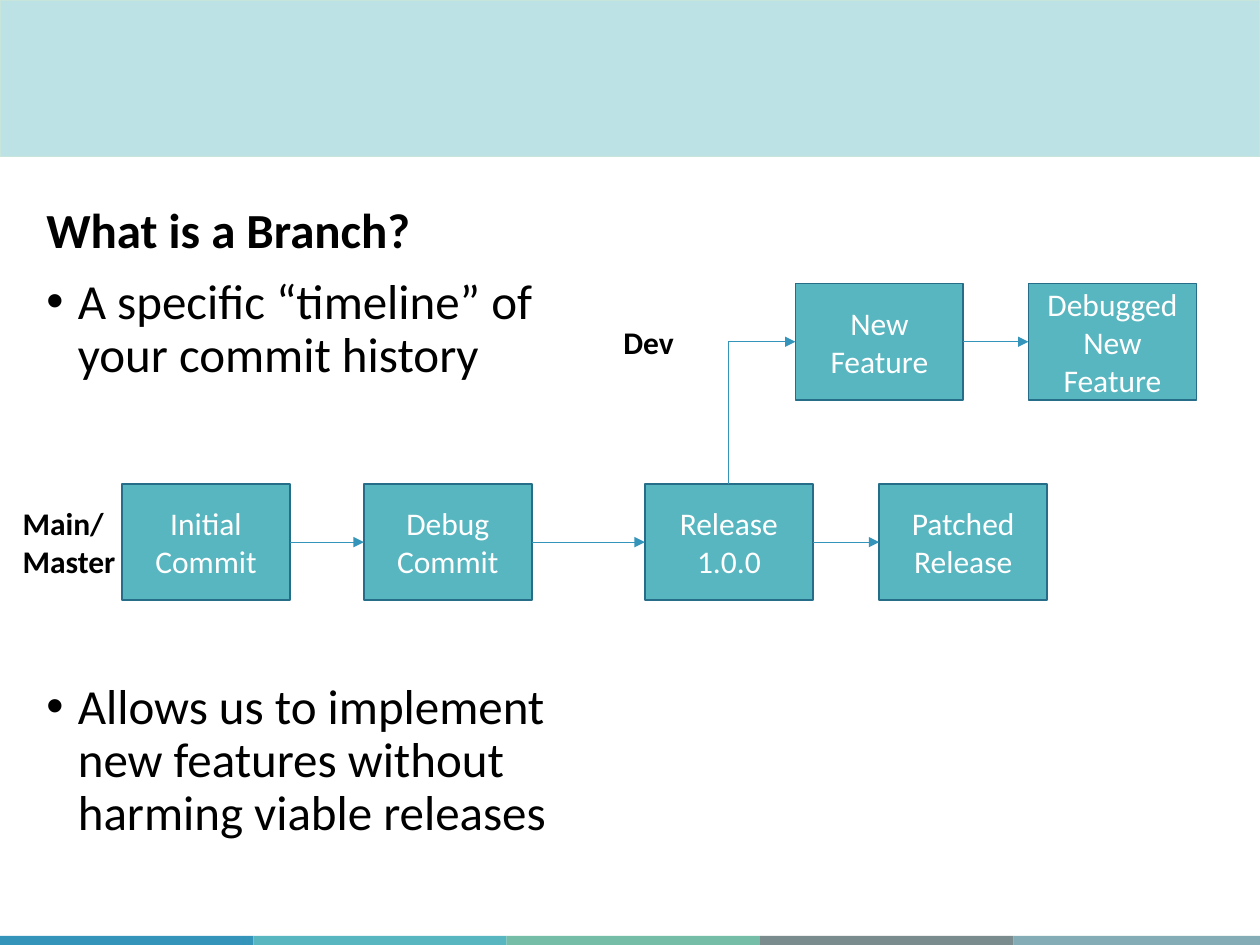
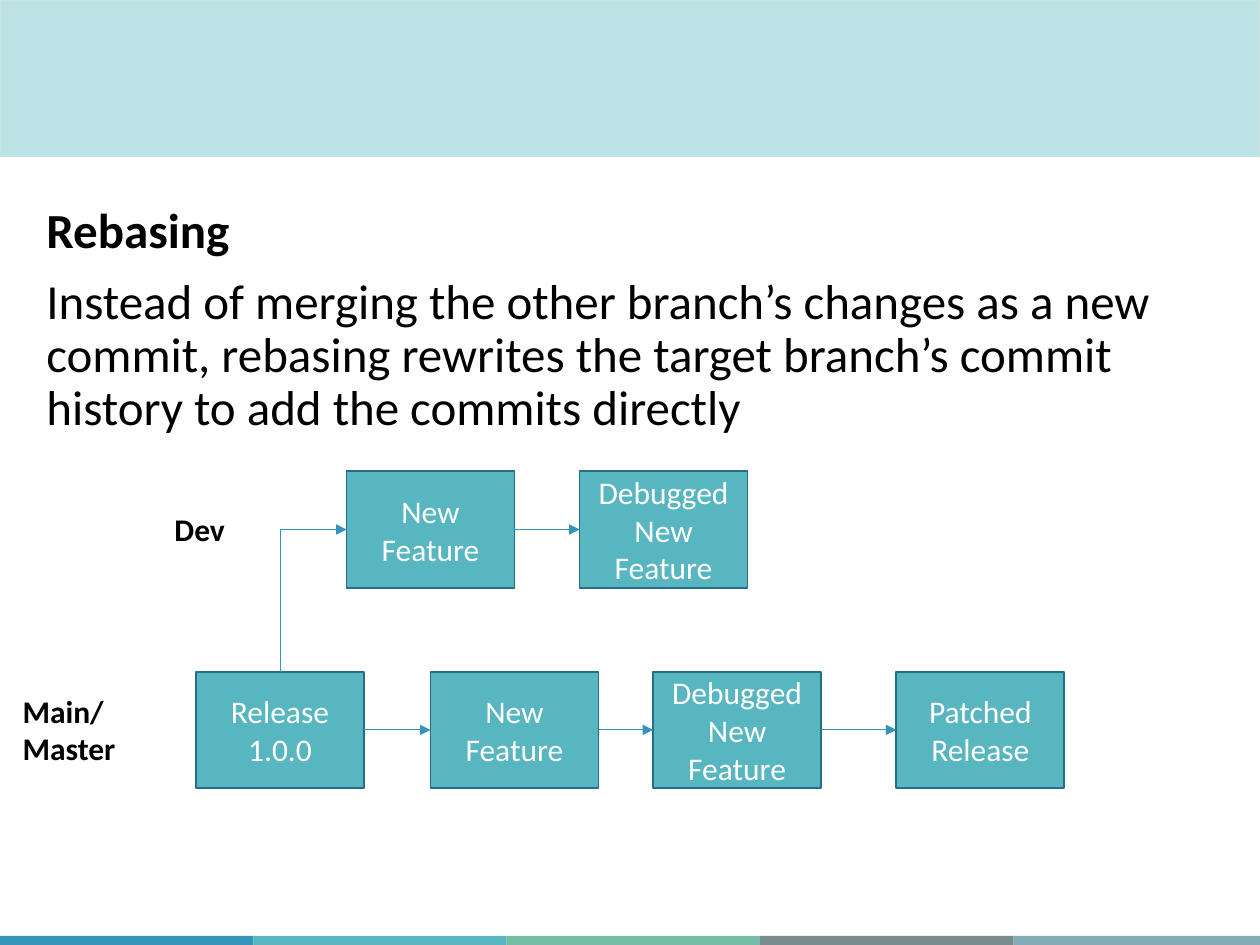
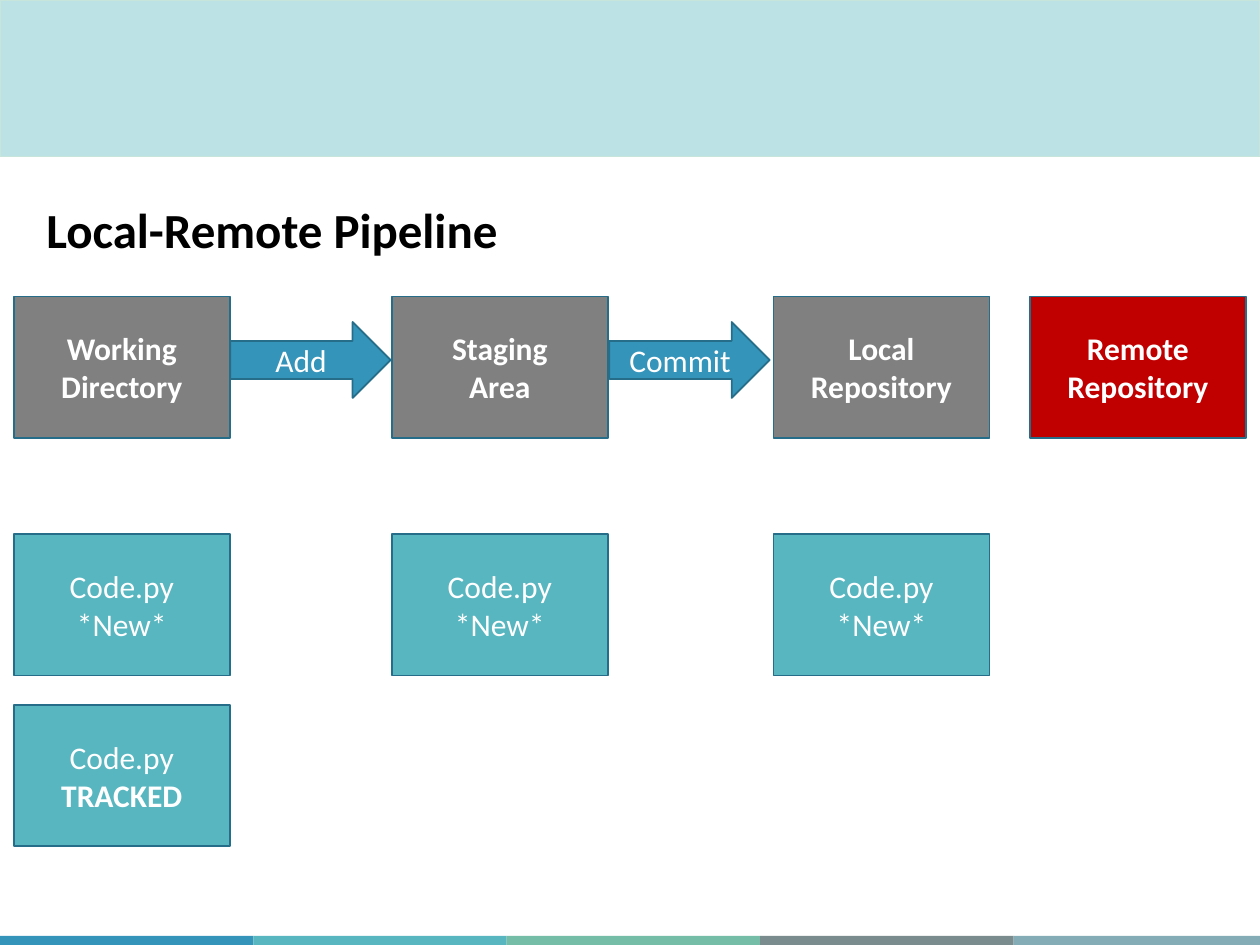
"""Build three slides on version control branches, rebasing and the local-remote pipeline."""
import lxml.etree
import pptx
import pptx.dml.color
import pptx.enum.shapes
import pptx.enum.text
import pptx.oxml.ns
import pptx.util

Pt = pptx.util.Pt
qn = pptx.oxml.ns.qn
SHAPE = pptx.enum.shapes.MSO_SHAPE
CONNECTOR = pptx.enum.shapes.MSO_CONNECTOR
ALIGN = pptx.enum.text.PP_ALIGN
ANCHOR = pptx.enum.text.MSO_ANCHOR

BLUE, TEAL, GRAY, RED = "3494BA", "58B6C0", "808080", "C00000"
OUTLINE, BAND, BAND_EDGE = "266D8A", "BCE2E6", "C8E5DC"
BLACK, WHITE = "000000", "FFFFFF"
STRIPES = [BLUE, TEAL, "75BDA7", "7A8C8E", "84ACB6"]
BODY_FORMAT = {"size": 28, "line_spacing": 0.9}
BOX_FORMAT = {"color": WHITE, "align": ALIGN.CENTER, "anchor": ANCHOR.MIDDLE}


def paint(fill, color):
    fill.solid()
    fill.fore_color.rgb = pptx.dml.color.RGBColor.from_string(color)


def write(shape, text, size=18, color=BLACK, bold=False, align=ALIGN.LEFT,
          anchor=ANCHOR.TOP, line_spacing=1.0, space_before=0, bullet=False):
    frame = shape.text_frame
    frame.word_wrap = True
    frame.vertical_anchor = anchor
    paragraph = frame.add_paragraph() if frame.text else frame.paragraphs[0]
    paragraph.alignment = align
    paragraph.line_spacing = line_spacing
    paragraph.space_before = Pt(space_before)
    run = paragraph.add_run()
    run.text = text
    run.font.name = "Calibri"
    run.font.size = Pt(size)
    run.font.bold = bold
    paint(run.font.fill, color)
    if bullet:
        properties = paragraph._p.get_or_add_pPr()
        properties.set("marL", str(Pt(18)))
        properties.set("indent", str(-Pt(18)))
        lxml.etree.SubElement(properties, qn("a:buFont")).set("typeface", "Arial")
        lxml.etree.SubElement(properties, qn("a:buChar")).set("char", "•")


presentation = pptx.Presentation()
presentation.slide_width = Pt(720)
presentation.slide_height = Pt(540)

contents = [
    ("What is a Branch?", 340.56, [
        ("A specific “timeline” of your commit history", True, 10),
        ("Allows us to implement new features without harming viable releases", True, 171)]),
    ("Rebasing", 681.84, [
        ("Instead of merging the other branch’s changes as a new commit, rebasing rewrites "
         "the target branch’s commit history to add the commits directly", False, 10)]),
    ("Local-Remote Pipeline", 681.84, []),
]
for title, body_width, body_texts in contents:
    slide = presentation.slides.add_slide(presentation.slide_layouts[6])
    for index, color in enumerate(STRIPES):
        stripe = slide.shapes.add_shape(
            SHAPE.RECTANGLE, Pt(144.8 * index), Pt(534.8), Pt(144.8), Pt(7.2))
        stripe.shadow.inherit = False
        paint(stripe.fill, color)
        stripe.line.fill.background()
    band = slide.shapes.add_shape(SHAPE.RECTANGLE, 0, 0, Pt(720), Pt(89.5))
    band.shadow.inherit = False
    paint(band.fill, BAND)
    paint(band.line.fill, BAND_EDGE)
    band.line.width = Pt(1)

    body = slide.shapes.add_textbox(Pt(19.44), Pt(114.48), Pt(body_width), Pt(388))
    write(body, title, bold=True, space_before=10, **BODY_FORMAT)
    for text, bullet, space_before in body_texts:
        write(body, text, bullet=bullet, space_before=space_before, **BODY_FORMAT)

branch_slide, rebase_slide, pipeline_slide = presentation.slides

commit_width, commit_height = 96, 66.6
dev_rise = 114.5
histories = [
    (branch_slide, 276.5, 368.5, [
        ("Initial Commit", 69.7), ("Debug Commit", 207.9),
        ("Release 1.0.0", 368.5), ("Patched Release", 502.4)]),
    (rebase_slide, 383.8, 112, [
        ("Release 1.0.0", 112), ("New Feature", 246),
        ("Debugged New Feature", 373.2), ("Patched Release", 512.2)]),
]
for slide, main_top, release_left, main_commits in histories:
    dev_top = main_top - dev_rise
    dev_left = release_left + 86
    dev_commits = [("New Feature", dev_left), ("Debugged New Feature", dev_left + 133.2)]
    connectors = []
    for row_top, commits in ((main_top, main_commits), (dev_top, dev_commits)):
        previous_box = None
        for text, left in commits:
            box = slide.shapes.add_shape(
                SHAPE.RECTANGLE, Pt(left), Pt(row_top), Pt(commit_width), Pt(commit_height))
            box.shadow.inherit = False
            paint(box.fill, TEAL)
            paint(box.line.fill, OUTLINE)
            box.line.width = Pt(1)
            write(box, text, **BOX_FORMAT)
            if previous_box:
                arrow = slide.shapes.add_connector(CONNECTOR.STRAIGHT, 0, 0, 0, 0)
                arrow.begin_connect(previous_box, 3)
                arrow.end_connect(box, 1)
                connectors.append(arrow)
            previous_box = box

    start_x = release_left + commit_width / 2
    end_y = dev_top + commit_height / 2
    run_length, rise = dev_left - start_x, main_top - end_y
    center_x, center_y = start_x + run_length / 2, end_y + rise / 2
    fork = slide.shapes.add_connector(
        CONNECTOR.ELBOW, Pt(center_x + rise / 2), Pt(center_y + run_length / 2),
        Pt(center_x - rise / 2), Pt(center_y - run_length / 2))
    fork._element.spPr.find(qn("a:xfrm")).set("rot", "5400000")
    fork._element.spPr.find(qn("a:prstGeom")).set("prst", "bentConnector2")
    connectors.append(fork)

    for connector in connectors:
        paint(connector.line.fill, BLUE)
        connector.line.width = Pt(0.5)
        line = connector._element.spPr.find(qn("a:ln"))
        lxml.etree.SubElement(line, qn("a:tailEnd")).set("type", "triangle")
        lxml.etree.SubElement(connector._element.spPr, qn("a:effectLst"))

    for text, left, top, height in (
            ("Main/Master", 5.8, main_top + 7.9, 51),
            ("Dev", release_left - 19.4, dev_top + 18.8, 29)):
        label = slide.shapes.add_textbox(Pt(left), Pt(top), Pt(73.4), Pt(height))
        write(label, text, bold=True)

stage_size = (123.4, 80.8)
arrow_size = (91.6, 43.4)
working_left, staging_left, local_left, remote_left = 7.9, 223.9, 442, 588.5
stage_top, new_top, tracked_top, arrow_top = 169.5, 305.2, 402.8, 184
new_file = [("Code.py", False), ("*New*", False)]
pipeline = [
    (SHAPE.RECTANGLE, working_left, stage_top, stage_size, GRAY,
     [("Working", True), ("Directory", True)]),
    (SHAPE.RECTANGLE, staging_left, stage_top, stage_size, GRAY,
     [("Staging", True), ("Area", True)]),
    (SHAPE.RECTANGLE, local_left, stage_top, stage_size, GRAY, [("Local Repository", True)]),
    (SHAPE.RECTANGLE, remote_left, stage_top, stage_size, RED, [("Remote Repository", True)]),
    (SHAPE.RIGHT_ARROW, 131.6, arrow_top, arrow_size, BLUE, [("Add", False)]),
    (SHAPE.RIGHT_ARROW, 348.2, arrow_top, arrow_size, BLUE, [("Commit", False)]),
    (SHAPE.RECTANGLE, working_left, new_top, stage_size, TEAL, new_file),
    (SHAPE.RECTANGLE, staging_left, new_top, stage_size, TEAL, new_file),
    (SHAPE.RECTANGLE, local_left, new_top, stage_size, TEAL, new_file),
    (SHAPE.RECTANGLE, working_left, tracked_top, stage_size, TEAL,
     [("Code.py", False), ("TRACKED", True)]),
]
for preset, left, top, (width, height), color, lines in pipeline:
    step = pipeline_slide.shapes.add_shape(preset, Pt(left), Pt(top), Pt(width), Pt(height))
    step.shadow.inherit = False
    paint(step.fill, color)
    paint(step.line.fill, OUTLINE)
    step.line.width = Pt(1)
    for text, bold in lines:
        write(step, text, bold=bold, **BOX_FORMAT)

presentation.save("out.pptx")
